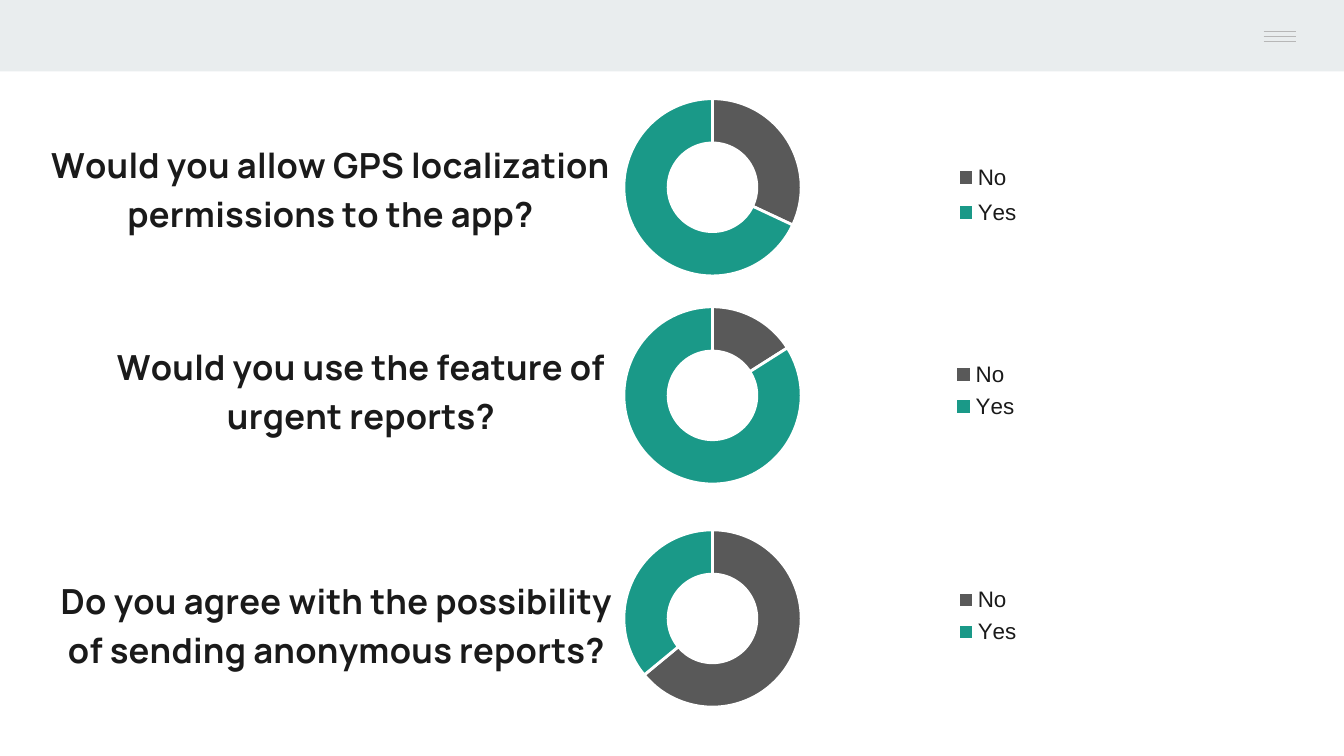
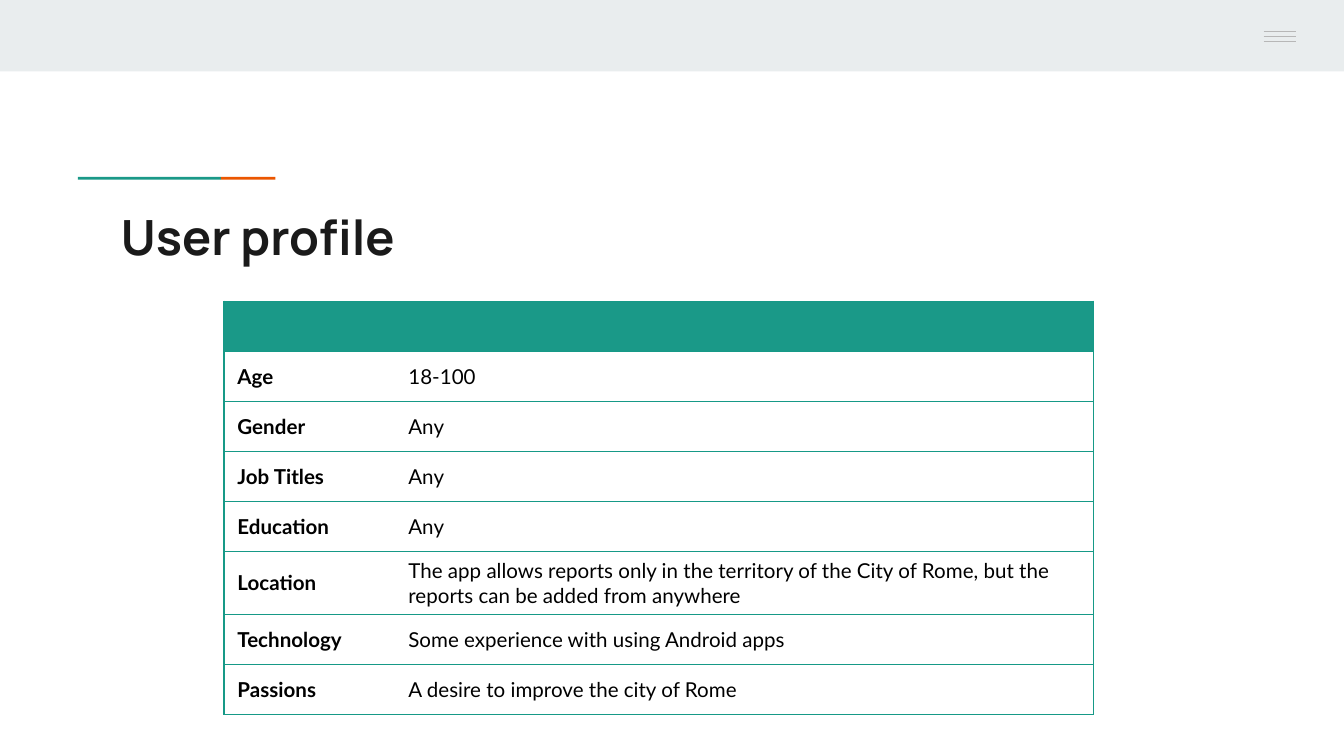
"""Build two slides: survey doughnut charts and the user profile table."""
import pptx
import pptx.chart.data
import pptx.dml.color
import pptx.enum.chart
import pptx.enum.shapes
import pptx.enum.text
import pptx.oxml
import pptx.oxml.ns
import pptx.util

Pt = pptx.util.Pt
RGBColor = pptx.dml.color.RGBColor
qn = pptx.oxml.ns.qn

TEAL = RGBColor(0x1A, 0x99, 0x88)
BORDER = RGBColor(0x16, 0x99, 0x87)
ORANGE = RGBColor(0xEB, 0x56, 0x00)
GRAY = RGBColor(0x59, 0x59, 0x59)
BAND = RGBColor(0xE9, 0xED, 0xEE)
MENU = RGBColor(0xB7, 0xB7, 0xB7)
INK = RGBColor(0x1A, 0x1A, 0x1A)
BLACK = RGBColor(0, 0, 0)
WHITE = RGBColor(0xFF, 0xFF, 0xFF)

WIDTH, HEIGHT = 720, 405
CHART_W, CHART_H = 707, 141.8
PLOT = (0.411, 0.038, 0.258, 0.67)
ANSWERS = ("No", "Yes")
ANSWER_COLORS = (GRAY, TEAL)

SURVEY = [
    {"question": ("Would you allow GPS localization", "permissions to the app?"),
     "values": (32, 68), "top": 47.5, "title_at": (25.2, 72),
     "legend_at": (505.7, 82.5, 47, 44)},
    {"question": ("Would you use the feature of", "urgent reports?"),
     "values": (16, 84), "top": 159, "title_at": (60.4, 180),
     "legend_at": (504.6, 190, 47, 38.6)},
    {"question": ("Do you agree with the possibility", "of sending anonymous reports?"),
     "values": (64, 36), "top": 278.5, "title_at": (30.4, 305.6),
     "legend_at": (505.7, 310.7, 47, 38.6)},
]

PROFILE = [
    ("", ""),
    ("Age", "18-100"),
    ("Gender", "Any"),
    ("Job Titles", "Any"),
    ("Education", "Any"),
    ("Location", "The app allows reports only in the territory of the City of Rome, "
                 "but the reports can be added from anywhere"),
    ("Technology", "Some experience with using Android apps"),
    ("Passions", "A desire to improve the city of Rome"),
]
PROFILE_AT = (120, 161.4)
COLUMN_WIDTHS = (91.6, 374.4)
ROW_H, TALL_ROW_H = 26.8, 33.6

ACCENT = [(41.8, 76.6, TEAL), (118.4, 29.2, ORANGE)]


def set_font(font, name, size, color, bold=False):
    font.name, font.size, font.bold = name, Pt(size), bold
    font.color.rgb = color


def add_rect(s, x, y, w, h, color):
    rect = s.shapes.add_shape(pptx.enum.shapes.MSO_SHAPE.RECTANGLE,
                              Pt(x), Pt(y), Pt(w), Pt(h))
    rect.shadow.inherit = False
    rect.fill.solid()
    rect.fill.fore_color.rgb = color
    rect.line.fill.background()


def add_slide(prs, layout):
    s = prs.slides.add_slide(prs.slide_layouts[layout])
    add_rect(s, 0, 0, WIDTH, 38.3, BAND)
    for i in range(3):
        y = Pt(16.9 + 2.65 * i)
        line = s.shapes.add_connector(pptx.enum.shapes.MSO_CONNECTOR.STRAIGHT,
                                      Pt(677), y, Pt(694.2), y)
        line.line.color.rgb = MENU
        line.line.width = Pt(0.75)
        line._element.spPr.append(pptx.oxml.parse_xml(
            f"<a:effectLst {pptx.oxml.ns.nsdecls('a')}/>"))
    return s


def set_layout(parent, values, after=None, inner=False):
    for old in parent.findall(qn("c:layout")):
        parent.remove(old)
    target = '<c:layoutTarget val="inner"/>' if inner else ""
    modes = '<c:xMode val="edge"/><c:yMode val="edge"/>'
    sizes = "".join(f'<c:{tag} val="{v:.4f}"/>' for tag, v in zip("xywh", values))
    layout = pptx.oxml.parse_xml(
        f"<c:layout {pptx.oxml.ns.nsdecls('c')}><c:manualLayout>"
        f"{target}{modes}{sizes}</c:manualLayout></c:layout>")
    if after:
        parent.find(qn(after)).addnext(layout)
    else:
        parent.insert(0, layout)


def in_chart(top, x, y, *size):
    scaled = [v / full for v, full in zip(size, (CHART_W, CHART_H))]
    return [x / CHART_W, (y - top) / CHART_H, *scaled]


def add_survey_chart(s, item):
    data = pptx.chart.data.CategoryChartData()
    data.categories = ANSWERS
    data.add_series("Series 1", item["values"])
    top = item["top"]
    chart = s.shapes.add_chart(pptx.enum.chart.XL_CHART_TYPE.DOUGHNUT, Pt(0), Pt(top),
                               Pt(CHART_W), Pt(CHART_H), data).chart
    set_font(chart.font, "Arial", 10, TEAL)

    chart.has_title = True
    tf = chart.chart_title.text_frame
    tf.text = "\n".join(item["question"])
    for p in tf.paragraphs:
        set_font(p.font, "Manrope", 18.5, INK, True)
    set_layout(chart.chart_title._element, in_chart(top, *item["title_at"]), "c:tx")

    chart.has_legend = True
    legend = chart.legend
    legend.position = pptx.enum.chart.XL_LEGEND_POSITION.BOTTOM
    legend.include_in_layout = False
    set_font(legend.font, "Arial", 12, INK)
    set_layout(legend._element, in_chart(top, *item["legend_at"]), "c:legendPos")

    plot = chart.plots[0]
    plot.vary_by_categories = True
    plot.has_data_labels = False
    plot._element.find(qn("c:holeSize")).set("val", "75")
    set_layout(plot._element.getparent(), PLOT, inner=True)
    for i, color in enumerate(ANSWER_COLORS):
        point = plot.series[0].points[i].format
        point.fill.solid()
        point.fill.fore_color.rgb = color
        point.line.color.rgb = WHITE
        point.line.width = Pt(1.5)


def set_borders(cell, sides):
    tcPr = cell._tc.get_or_add_tcPr()
    for side in "LRTB":
        fill = (f'<a:solidFill><a:srgbClr val="{BORDER}"/></a:solidFill>'
                if side in sides else "<a:noFill/>")
        tcPr.append(pptx.oxml.parse_xml(
            f'<a:ln{side} {pptx.oxml.ns.nsdecls("a")} w="{Pt(0.75)}">{fill}</a:ln{side}>'))


def add_profile_table(s):
    heights = [TALL_ROW_H if label == "Location" else ROW_H for label, _ in PROFILE]
    table = s.shapes.add_table(len(PROFILE), 2, *map(Pt, PROFILE_AT),
                               Pt(sum(COLUMN_WIDTHS)), Pt(sum(heights))).table
    table.horz_banding = False
    for column, width in zip(table.columns, COLUMN_WIDTHS):
        column.width = Pt(width)
    for r, (texts, height) in enumerate(zip(PROFILE, heights)):
        table.rows[r].height = Pt(height)
        for c, text in enumerate(texts):
            cell = table.cell(r, c)
            set_borders(cell, "TB" + "LR"[c])
            cell.fill.solid()
            cell.fill.fore_color.rgb = WHITE if r else TEAL
            cell.vertical_anchor = pptx.enum.text.MSO_ANCHOR.MIDDLE
            cell.margin_top = cell.margin_bottom = Pt(3.6 if r else 0)
            cell.text = text
            set_font(cell.text_frame.paragraphs[0].font, "Lato", 11, BLACK, c == 0)


def add_title(s, text):
    title = s.shapes.title
    title.left, title.top, title.width, title.height = map(Pt, (57.6, 103.7, 605.5, 42.5))
    tf = title.text_frame
    tf.text = text
    tf.auto_size = pptx.enum.text.MSO_AUTO_SIZE.NONE
    tf.vertical_anchor = pptx.enum.text.MSO_ANCHOR.TOP
    tf.margin_left = tf.margin_right = tf.margin_top = tf.margin_bottom = Pt(7.2)
    p = tf.paragraphs[0]
    p.alignment = pptx.enum.text.PP_ALIGN.LEFT
    set_font(p.font, "Manrope", 26, INK, True)


def main():
    prs = pptx.Presentation()
    prs.slide_width, prs.slide_height = Pt(WIDTH), Pt(HEIGHT)

    s = add_slide(prs, 6)
    for item in SURVEY:
        add_survey_chart(s, item)

    s = add_slide(prs, 5)
    for x, width, color in ACCENT:
        add_rect(s, x, 94.8, width, 1.5, color)
    add_title(s, "User profile")
    add_profile_table(s)

    prs.save("out.pptx")


if __name__ == "__main__":
    main()
